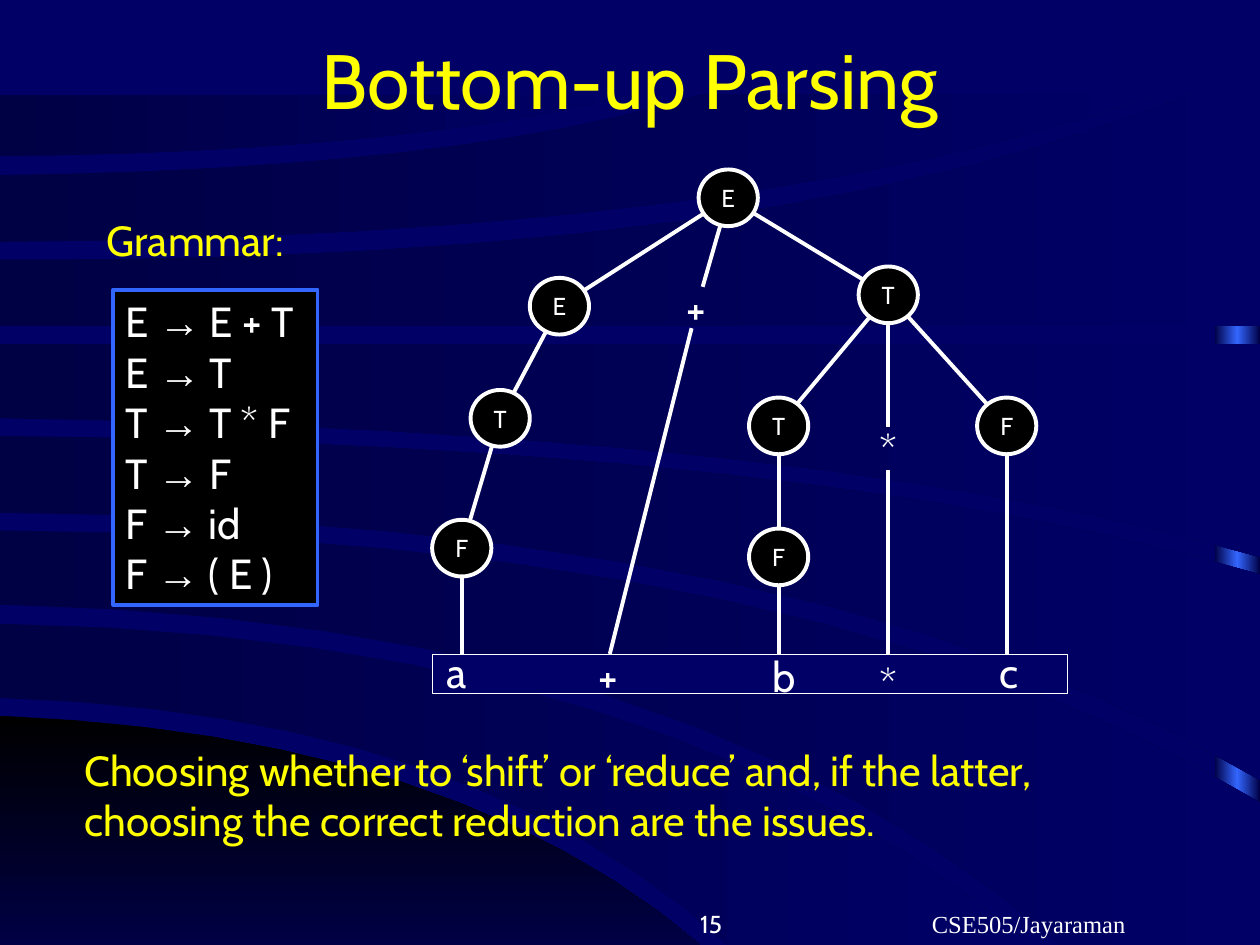
from copy import deepcopy
from dataclasses import dataclass
from math import hypot

from pptx import Presentation
from pptx import util as u
from pptx.dml.color import RGBColor
from pptx.enum import shapes as sh, text as tx
from pptx.oxml.ns import qn
from lxml import etree


@dataclass
class Theme:
    back: str = "000066"
    dark: str = "000044"
    black: str = "000000"
    blue: str = "3366FF"
    white: str = "FFFFFF"
    gold: str = "FFFF00"
    body: str = "Cabin"
    sign: str = "Arial"
    serif: str = "Times New Roman"
    head: int = 44
    large: int = 24
    small: int = 14
    thick: float = 2.25
    thin: float = 0.5


T = Theme()
COLS, ROWS = 100, 75  # slide grid
WIDE, HIGH = u.Inches(10), u.Inches(7.5)
LEFT, MID, RIGHT = tx.PP_ALIGN.LEFT, tx.PP_ALIGN.CENTER, tx.PP_ALIGN.RIGHT
TOP, CORE, LOW = (tx.MSO_ANCHOR.TOP, tx.MSO_ANCHOR.MIDDLE,
                  tx.MSO_ANCHOR.BOTTOM)


def rgb(code):
    return RGBColor.from_string(code)


def col(n):
    return round(WIDE * n / COLS)


def row(n):
    return round(HIGH * n / ROWS)


def place(x, y, w, h):
    return col(x), row(y), col(w), row(h)


def blend(shape, stops, angle=0):
    """Fill with a gradient; stops are (share, colour) pairs."""
    fill = shape.fill
    fill.gradient()
    fill.gradient_angle = angle
    group = shape._element.spPr.find(".//" + qn("a:gsLst"))
    for _ in stops[2:]:
        group.append(deepcopy(group[0]))
    for stop, (share, code) in zip(fill.gradient_stops, stops):
        stop.position = share
        stop.color.rgb = rgb(code)


def write(shape, lines, align=LEFT, anchor=TOP, **look):
    """Each line is a string or a list of (string, font) runs."""
    frame = shape.text_frame
    frame.word_wrap = True
    frame.vertical_anchor = anchor
    base = {"size": T.large, "name": T.body, "color": T.white} | look
    for i, line in enumerate(lines):
        para = frame.paragraphs[0] if i == 0 else frame.add_paragraph()
        para.alignment = align
        runs = [(line, base["name"])] if isinstance(line, str) else line
        for words, face in runs:
            run = para.add_run()
            run.text = words
            run.font.color.rgb = rgb(base["color"])
            for key, val in {"size": u.Pt(base["size"]), "name": face}.items():
                setattr(run.font, key, val)


def label(page, box, lines, **look):
    write(page.shapes.add_textbox(*place(*box)), lines, **look)


def block(page, kind, box, fill, line=None, width=0):
    part = page.shapes.add_shape(kind, *place(*box))
    part.shadow.inherit = False
    part.fill.solid()
    part.fill.fore_color.rgb = rgb(fill)
    if line:
        part.line.color.rgb = rgb(line)
        part.line.width = u.Pt(width)
    else:
        part.line.fill.background()
    return part


def curve(start, bend, end, level, steps=12):
    """Points of a sweep from the left edge to (end, level)."""
    dots = []
    for i in range(steps + 1):
        t = i / steps
        a, b, c = (1 - t) ** 2, 2 * t * (1 - t), t ** 2
        dots.append(((0.65 * b + c) * end, a * start + b * bend + c * level))
    return dots


def backdrop(page, box):
    x, y, w, h = box
    page.background.fill.solid()
    page.background.fill.fore_color.rgb = rgb(T.back)

    # Bright bar at the right edge, seen between the bands
    bar = block(page, sh.MSO_SHAPE.RECTANGLE,
                (x + w - 3.6, y + 7.7, 3.6, h - 7.7), T.dark)
    blend(bar, [(0, T.dark), (0.5, T.blue), (1, T.dark)])

    # Sweeping areas, each between an upper and a lower curve
    areas = [
        ((56.8, 58.3, 55.6, h), (h, h, 0, h)),
        ((49.5, 50.5, 81.8, h), (55.4, 56.5, 57.8, h)),
        ((42.1, 42.4, w, 63.7), (48, 49, 84.2, h)),
        ((34.6, 35.2, w, 45.6), (40.7, 41, w, 61.9)),
        ((27.3, 27.3, w, 27.3), (33.2, 34, w, 44.2)),
        ((20.6, 21, 94.4, 7.5), (25.9, 25.9, w, 25.9)),
        ((13.9, 13.5, 55.7, 7.5), (19.2, 18.9, 91.8, 7.5)),
        ((7.5, 7.5, 50.2, 7.5), (12.4, 12, 50.2, 7.5)),
    ]
    for i, (upper, lower) in enumerate(areas):
        over, under = curve(*upper), curve(*lower)
        ends = over[-1], under[-1]
        edge = max(ends)[0], min(ends)[1]
        dots = [(col(x + a), row(y + b))
                for a, b in over + [edge] + under[::-1]]
        pen = page.shapes.build_freeform(*dots[0])
        pen.add_line_segments(dots[1:], close=True)
        area = pen.convert_to_shape()
        area.shadow.inherit = False
        area.line.fill.background()
        if i:
            blend(area, [(0, T.dark), (1, T.back)])
        else:
            blend(area, [(0, T.black), (1, T.dark)], 270)


def grammar(page, box):
    x, y, w, h = box
    label(page, (x - 1.5, y - 6.5, w + 1.1, 9), ["Grammar:"], color=T.gold)
    lines = []
    for rule in ["E E + T", "E T", "T T * F", "T F", "F id", "F ( E )"]:
        head, tail = rule.split(" ", 1)
        lines.append([(head + " ", T.body), ("→", T.sign),
                      (" " + tail, T.body)])
    panel = block(page, sh.MSO_SHAPE.RECTANGLE, box, T.black, T.blue, T.thick)
    write(panel, lines)


def branch(page, start, end, trims):
    """Straight line between two centres, cut short at both ends."""
    (a, b), (c, d) = start, end
    size = hypot(c - a, d - b)
    p, q = (c - a) / size, (d - b) / size
    edge = page.shapes.add_connector(
        sh.MSO_CONNECTOR.STRAIGHT,
        col(a + p * trims[0]), row(b + q * trims[0]),
        col(c - p * trims[1]), row(d - q * trims[1]))
    edge.line.color.rgb = rgb(T.white)
    edge.line.width = u.Pt(T.thick)
    etree.SubElement(edge._element.spPr, qn("a:effectLst"))


def tree(page, box):
    x, y, w, h = box
    deep, wide, tall = 3.1, 4.7, 4.5  # strip height, node size
    base = y + h - deep

    # Input strip
    block(page, sh.MSO_SHAPE.RECTANGLE, (x, base, w, deep),
          T.back, T.white, T.thin)

    # Nodes: name, centre, index of the parent
    nodes = [("E", 23.5, 2.3, None), ("E", 10.1, 10.9, 0),
             ("T", 5.4, 19.8, 1), ("F", 2.35, 30.1, 2),
             ("+", 21, 11, 0), ("T", 36.2, 10, 0),
             ("T", 27.5, 20.4, 5), ("F", 27.5, 30.8, 6),
             ("*", 36.2, 22.2, 5), ("F", 45.6, 20.4, 5)]
    spots = [(x + a, y + b) for _, a, b, _ in nodes]
    gaps = [1.7 if name in "+*" else wide / 2 for name, *_ in nodes]
    for i, (name, _, _, up) in enumerate(nodes):
        a, b = spots[i]
        if up is not None:
            branch(page, spots[up], spots[i], (gaps[up], gaps[i]))
        if name in "+*":
            label(page, (a - 2, b - 2.5, 4, 5), [name], align=MID)
        else:
            node = block(page, sh.MSO_SHAPE.OVAL,
                         (a - wide / 2, b - tall / 2, wide, tall),
                         T.black, T.white, T.thick)
            write(node, [name], align=MID, anchor=CORE, size=T.small)

    # Tokens: sign, middle, rise above the strip, node joined, line foot
    tokens = [("a", 1.9, 1.1, 3, 2.35), ("+", 14, 0.8, 4, 14.1),
              ("b", 27.9, 0.8, 7, 27.5), ("*", 36.2, 0.2, 8, 36.2),
              ("c", 45.8, 1.1, 9, 45.6)]
    for sign, mid, rise, i, foot in tokens:
        label(page, (x + mid - 2, base - rise, 4, 5), [sign], align=MID)
        branch(page, spots[i], (x + foot, base), (gaps[i], 0))


def footer(page, box):
    x, y, w, h = box
    label(page, (x, y, 20.8, h), ["15"], align=RIGHT, anchor=LOW,
          size=T.small)
    label(page, (x + w - 31.7, y, 31.7, h), ["CSE505/Jayaraman"], align=MID,
          anchor=LOW, size=T.small, name=T.serif)


def main():
    deck = Presentation()
    deck.slide_width, deck.slide_height = WIDE, HIGH
    page = deck.slides.add_slide(deck.slide_layouts[6])
    backdrop(page, (0, 0, COLS, ROWS))
    footer(page, (37.5, 70, 60, 5))
    label(page, (7.5, 0, 85, 12.5), ["Bottom-up Parsing"], align=MID,
          anchor=CORE, size=T.head, color=T.gold)
    grammar(page, (9, 23, 16.2, 25))
    tree(page, (34.3, 13.4, 50.4, 41.6))
    label(page, (5.7, 58.6, 88.5, 9),
          ["Choosing whether to ‘shift’ or ‘reduce’ and, if the latter,",
           "choosing the correct reduction are the issues."], color=T.gold)
    deck.save("out.pptx")


if __name__ == "__main__":
    main()
